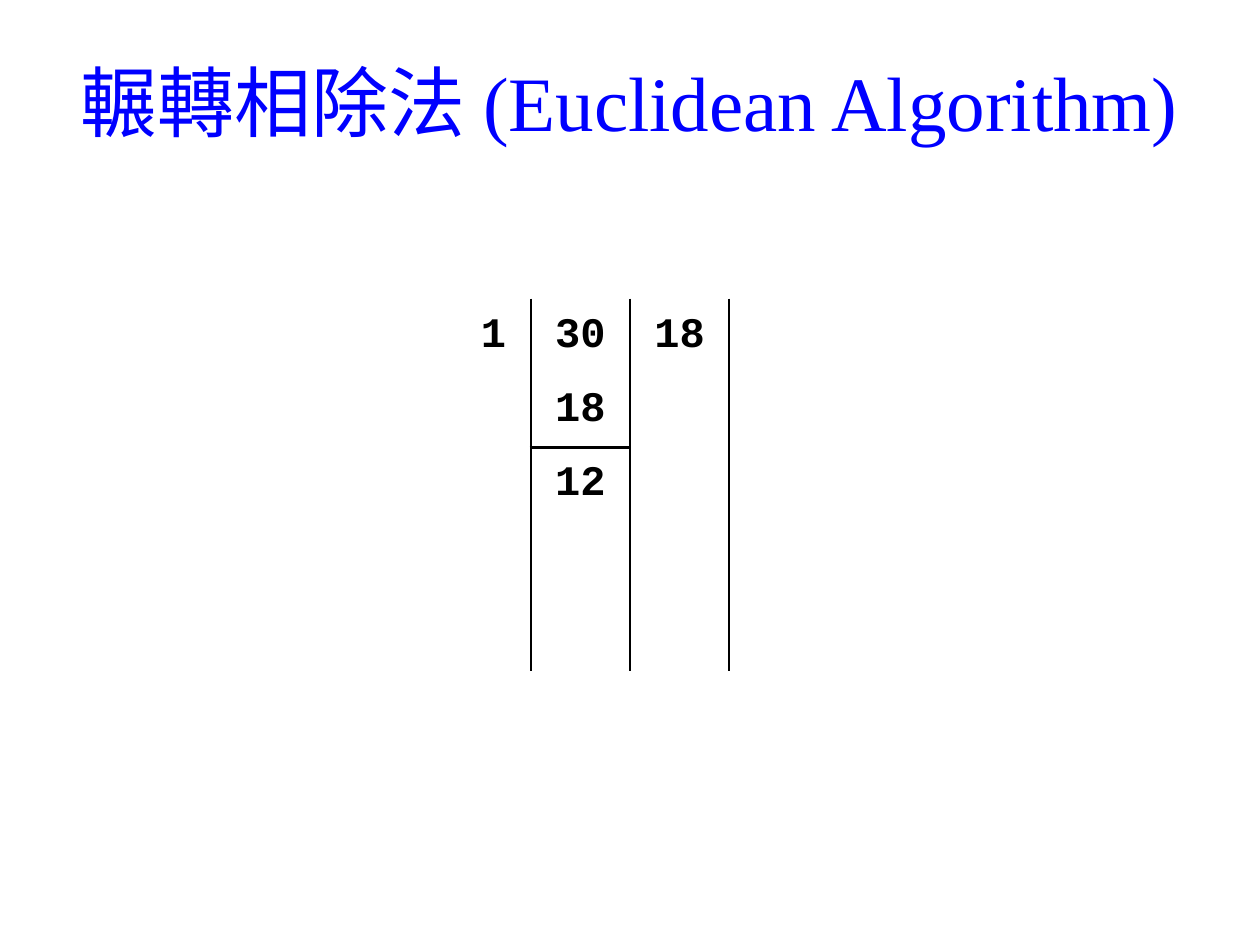
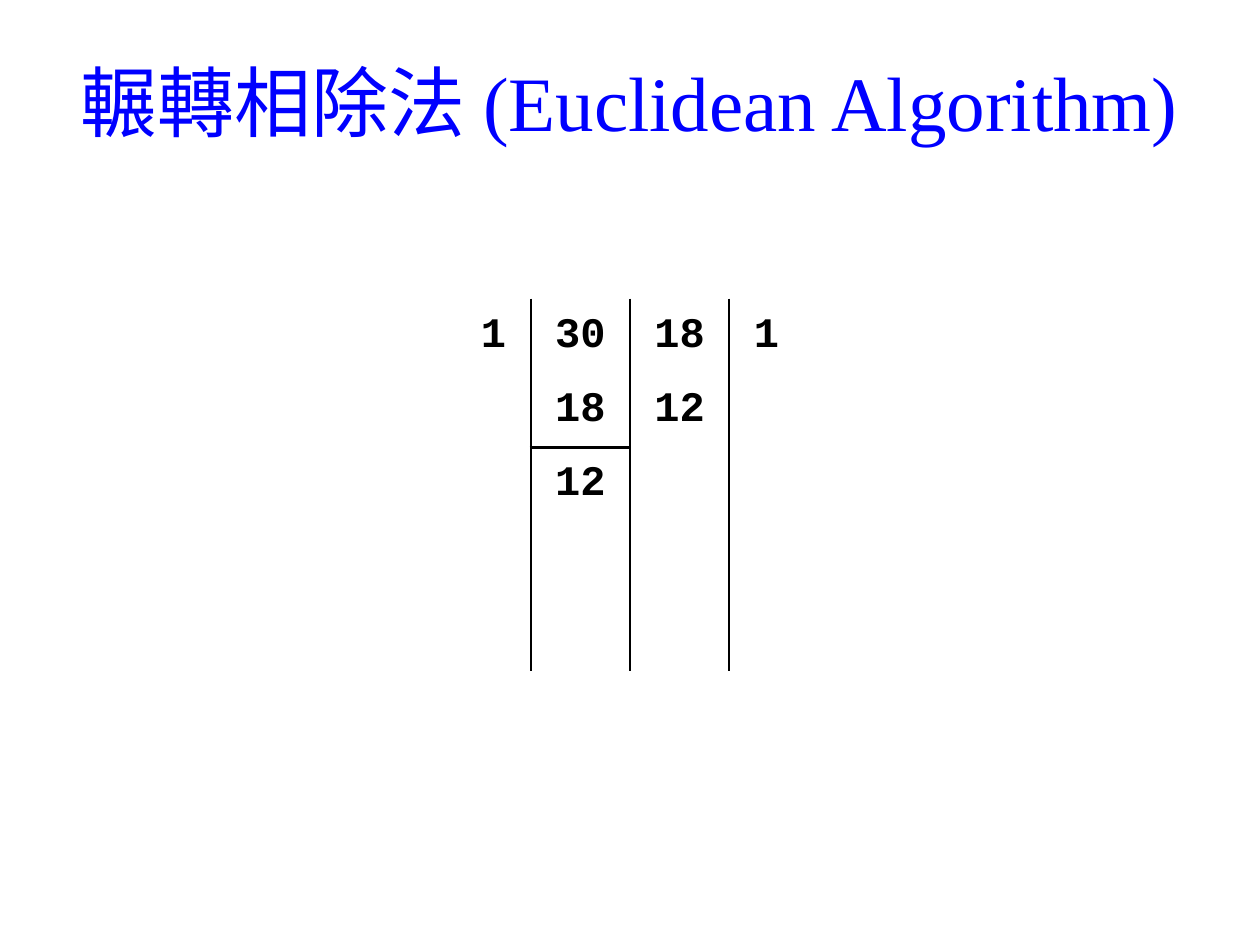
import pptx
import pptx.util
import pptx.dml.color
import pptx.enum.text
import pptx.oxml
import pptx.oxml.ns
from pptx.util import Cm, Pt

COLORS = {"title": "0000FF", "ink": "000000"}
FONTS = {"chinese": "Noto Sans CJK SC", "english": "Times New Roman", "digits": "Courier New"}
TITLE_PARTS = [("輾轉相除法 ", FONTS["chinese"]), ("(Euclidean Algorithm)", FONTS["english"])]
TITLE_BOX = (Cm(0.69), Cm(0.53), Cm(24), Cm(3))
DIVISION_BOX = (Cm(9.2), Cm(6.02), Cm(7), Cm(7.5))
COLUMN_SHARES = (3, 4, 4, 3)
ROW_COUNT = 5
UNDERLINED_CELL = (1, 1)
PLAIN_TABLE_STYLE = "{2D5ABB26-0587-4C30-8999-92F81FD0307C}"
STEPS = [
    {(0, 0): "1", (0, 1): "30", (0, 2): "18", (1, 1): "18", (2, 1): "12"},
    {(0, 0): "1", (0, 1): "30", (0, 2): "18", (0, 3): "1",
     (1, 1): "18", (1, 2): "12", (2, 1): "12"},
]


def add_element(parent, tag, **attributes):
    element = parent.makeelement(pptx.oxml.ns.qn(tag), attributes)
    parent.append(element)
    return element


def format_run(run, font_name, size, color, bold=False):
    run.font.name = font_name
    run.font.size = Pt(size)
    run.font.bold = bold
    run.font.color.rgb = pptx.dml.color.RGBColor.from_string(COLORS[color])
    add_element(run.font._element, "a:ea", typeface=FONTS["chinese"])


def place(shape, box):
    shape.left, shape.top, shape.width, shape.height = box


def fill_title(title):
    title.text_frame.vertical_anchor = pptx.enum.text.MSO_ANCHOR.MIDDLE
    paragraph = title.text_frame.paragraphs[0]
    paragraph.alignment = pptx.enum.text.PP_ALIGN.CENTER
    for text, font_name in TITLE_PARTS:
        run = paragraph.add_run()
        run.text = text
        format_run(run, font_name, 44, "title")


def draw_borders(cell, sides):
    properties = cell._tc.get_or_add_tcPr()
    for side in "LRTB":
        if side in sides:
            line = add_element(properties, f"a:ln{side}", w=str(Pt(1.5)))
            fill = add_element(line, "a:solidFill")
            add_element(fill, "a:srgbClr", val=COLORS["ink"])
        else:
            line = add_element(properties, f"a:ln{side}", w="0")
            add_element(line, "a:noFill")


def border_sides(row, column):
    sides = "L" if column > 0 else ""
    if column < len(COLUMN_SHARES) - 1:
        sides += "R"
    if (row, column) == UNDERLINED_CELL:
        sides += "B"
    if (row - 1, column) == UNDERLINED_CELL:
        sides += "T"
    return sides


def write_number(cell, number):
    cell.vertical_anchor = pptx.enum.text.MSO_ANCHOR.MIDDLE
    cell.margin_left = cell.margin_right = Cm(0.25)
    cell.margin_top = cell.margin_bottom = Cm(0.05)
    cell.text_frame.text = number
    paragraph = cell.text_frame.paragraphs[0]
    paragraph.alignment = pptx.enum.text.PP_ALIGN.CENTER
    spacing = add_element(paragraph._p.get_or_add_pPr(), "a:spcBef")
    add_element(spacing, "a:spcPct", val="50000")
    for run in paragraph.runs:
        format_run(run, FONTS["digits"], 24, "ink", bold=True)


def add_division(slide, box, numbers):
    left, top, width, height = box
    frame = slide.shapes.add_table(ROW_COUNT, len(COLUMN_SHARES), left, top, width, height)
    table = frame.table
    table.first_row = table.horz_banding = False
    table._tbl.tblPr.find(pptx.oxml.ns.qn("a:tableStyleId")).text = PLAIN_TABLE_STYLE
    for column, share in zip(table.columns, COLUMN_SHARES):
        column.width = width * share // sum(COLUMN_SHARES)
    for row in range(ROW_COUNT):
        table.rows[row].height = height // ROW_COUNT
        for column in range(len(COLUMN_SHARES)):
            cell = table.cell(row, column)
            draw_borders(cell, border_sides(row, column))
            cell.fill.background()
            if (row, column) in numbers:
                write_number(cell, numbers[row, column])


def main():
    presentation = pptx.Presentation()
    presentation.slide_width, presentation.slide_height = Cm(25.4), Cm(19.05)
    layout = presentation.slide_layouts.get_by_name("Title Only")
    place(layout.placeholders[0], TITLE_BOX)
    for numbers in STEPS:
        slide = presentation.slides.add_slide(layout)
        fill_title(slide.shapes.title)
        add_division(slide, DIVISION_BOX, numbers)
    presentation.save("out.pptx")


if __name__ == "__main__":
    main()
